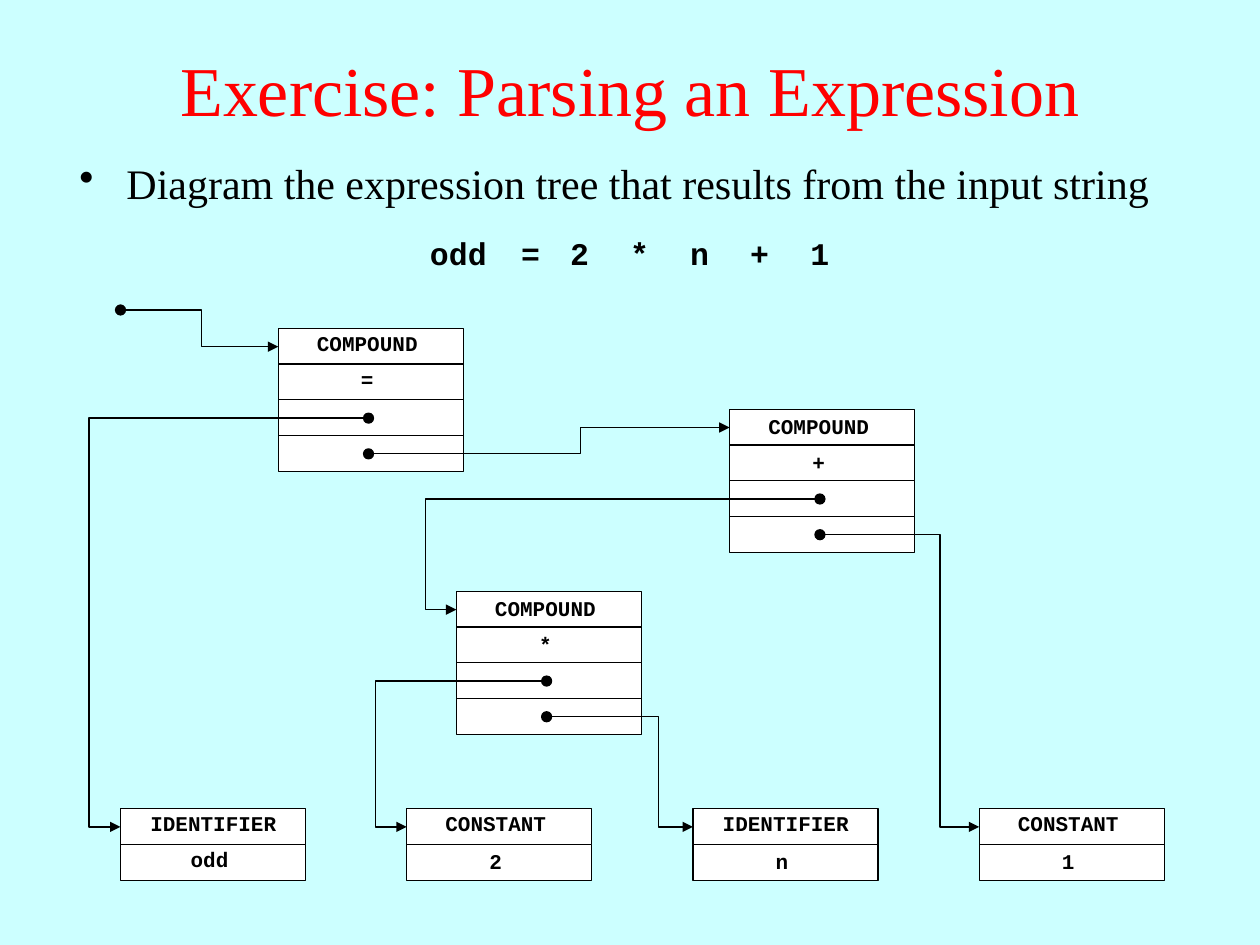
from dataclasses import dataclass
from lxml.etree import SubElement
from pptx import Presentation
from pptx.dml.color import RGBColor
from pptx.enum.shapes import MSO_CONNECTOR as Link, MSO_SHAPE as Shape
from pptx.enum.text import MSO_ANCHOR as Anchor, PP_ALIGN as Align
from pptx.oxml.ns import qn
from pptx.util import Cm, Pt


def color(value):
    return RGBColor.from_string(value)


@dataclass
class TreePage:
    """Draws expression-tree parts on one slide, with lengths in centimetres."""
    page: object
    ink: str = "000000"
    paper: str = "FFFFFF"
    serif: str = "Times New Roman"
    mono: str = "Courier New"
    cell_width: float = 3.73
    cell_height: float = 0.73
    row: float = 0.72
    dot_size: float = 0.2

    def text(self, words, x, y, width, height, font, size, bold=False,
             ink=None, align=Align.CENTER, anchor=Anchor.TOP, bullet=None):
        box = self.page.shapes.add_textbox(Cm(x), Cm(y), Cm(width), Cm(height))
        frame = box.text_frame
        frame.word_wrap = True
        frame.vertical_anchor = anchor
        para = frame.paragraphs[0]
        para.text = words
        para.alignment = align
        if bullet:
            props = para._p.get_or_add_pPr()
            props.set("marL", str(Cm(0.95)))
            props.set("indent", str(Cm(-0.95)))
            SubElement(props, qn("a:buChar"), char=bullet)
            para.line_spacing = 0.85
        para.font.name = font
        para.font.size = Pt(size)
        para.font.bold = bold
        para.font.color.rgb = color(ink or self.ink)

    def code(self, words, x, y, width, height, size):
        self.text(words, x, y, width, height, self.mono, size, bold=True)

    def shape(self, kind, x, y, width, height, fill):
        shape = self.page.shapes.add_shape(kind, Cm(x), Cm(y), Cm(width), Cm(height))
        shape.shadow.inherit = False
        shape.fill.solid()
        shape.fill.fore_color.rgb = color(fill)
        shape.line.color.rgb = color(self.ink)
        shape.line.width = Pt(0.75)

    def cell(self, x, y, words="", lift=0.0):
        self.shape(Shape.RECTANGLE, x, y, self.cell_width, self.cell_height, self.paper)
        if words:
            width, shift = (4.24, 0.25) if words == "IDENTIFIER" else (3.81, 0.11)
            self.code(words, x - shift, y - lift, width, 0.76, 12)

    def dot(self, x, y):
        self.shape(Shape.OVAL, x, y, self.dot_size, self.dot_size, self.ink)

    def leaf(self, x, y, kind, value, lift):
        self.cell(x, y, kind, 0.08)
        self.cell(x, y + self.row, value, lift)
        return x, y

    def compound(self, x, y, operator, lift):
        self.cell(x, y, "COMPOUND", lift)
        self.cell(x, y + self.row, operator, lift)
        for index in (2, 3):
            self.cell(x, y + index * self.row)
        dots = [(x + 1.72, y + index * self.row + 0.27) for index in (2, 3)]
        for dot in dots:
            self.dot(*dot)
        return (x, y), dots

    def link(self, dot, node, bend):
        x, y = dot
        start = x + self.dot_size if bend > x else x
        end, middle = node[0], y + self.dot_size / 2
        line = self.page.shapes.add_connector(
            Link.ELBOW, Cm(start), Cm(middle), Cm(end), Cm(node[1] + 0.37))
        line.line.color.rgb = color(self.ink)
        line.line.width = Pt(0.75)
        props = line._element.spPr
        SubElement(props.find(qn("a:prstGeom")).find(qn("a:avLst")), qn("a:gd"), name="adj1",
                   fmla=f"val {round((bend - start) / (end - start) * 100000)}")
        SubElement(props.find(qn("a:ln")), qn("a:tailEnd"), type="triangle")
        SubElement(props, qn("a:effectLst"))


def main():
    deck = Presentation()
    deck.slide_width, deck.slide_height = Cm(25.4), Cm(19.05)
    page = deck.slides.add_slide(deck.slide_layouts[6])
    page.background.fill.solid()
    page.background.fill.fore_color.rgb = color("CCFFFF")
    tree = TreePage(page)

    tree.text("Exercise: Parsing an Expression", 0, 0.2, 25.4, 3.18, tree.serif, 40,
              ink="FF0000", anchor=Anchor.MIDDLE)
    tree.text("Diagram the expression tree that results from the input string",
              1.35, 3.2, 22.86, 1.65, tree.serif, 24, align=Align.JUSTIFY, bullet="•")
    tree.code("odd", 8.2, 4.6, 2.08, 1.02, 18)
    tree.code("=", 10.06, 4.6, 1.27, 1.02, 18)
    for index, token in enumerate("2*n+1"):
        tree.code(token, 11.05 + index * 1.21, 4.6, 1.27, 1.02, 18)

    leaves = [("IDENTIFIER", "odd", 0.08), ("CONSTANT", "2", 0.04),
              ("IDENTIFIER", "n", 0.04), ("CONSTANT", "1", 0.04)]
    odd, two, n, one = [tree.leaf(2.43 + index * 5.77, 16.3, *leaf)
                        for index, leaf in enumerate(leaves)]
    times, (times_left, times_right) = tree.compound(9.2, 11.92, "*", 0.04)
    plus, (plus_left, plus_right) = tree.compound(14.71, 8.25, "+", 0.04)
    assign, (assign_left, assign_right) = tree.compound(5.61, 6.62, "=", 0.08)
    root = (2.33, 6.15)
    tree.dot(*root)

    for dot, node, bend in [
            (assign_left, odd, 1.8), (assign_right, plus, 11.71),
            (plus_right, one, 18.95), (plus_left, times, 8.58),
            (times_left, two, 7.57), (times_right, n, 13.28), (root, assign, 4.07)]:
        tree.link(dot, node, bend)
    deck.save("out.pptx")


if __name__ == "__main__":
    main()
